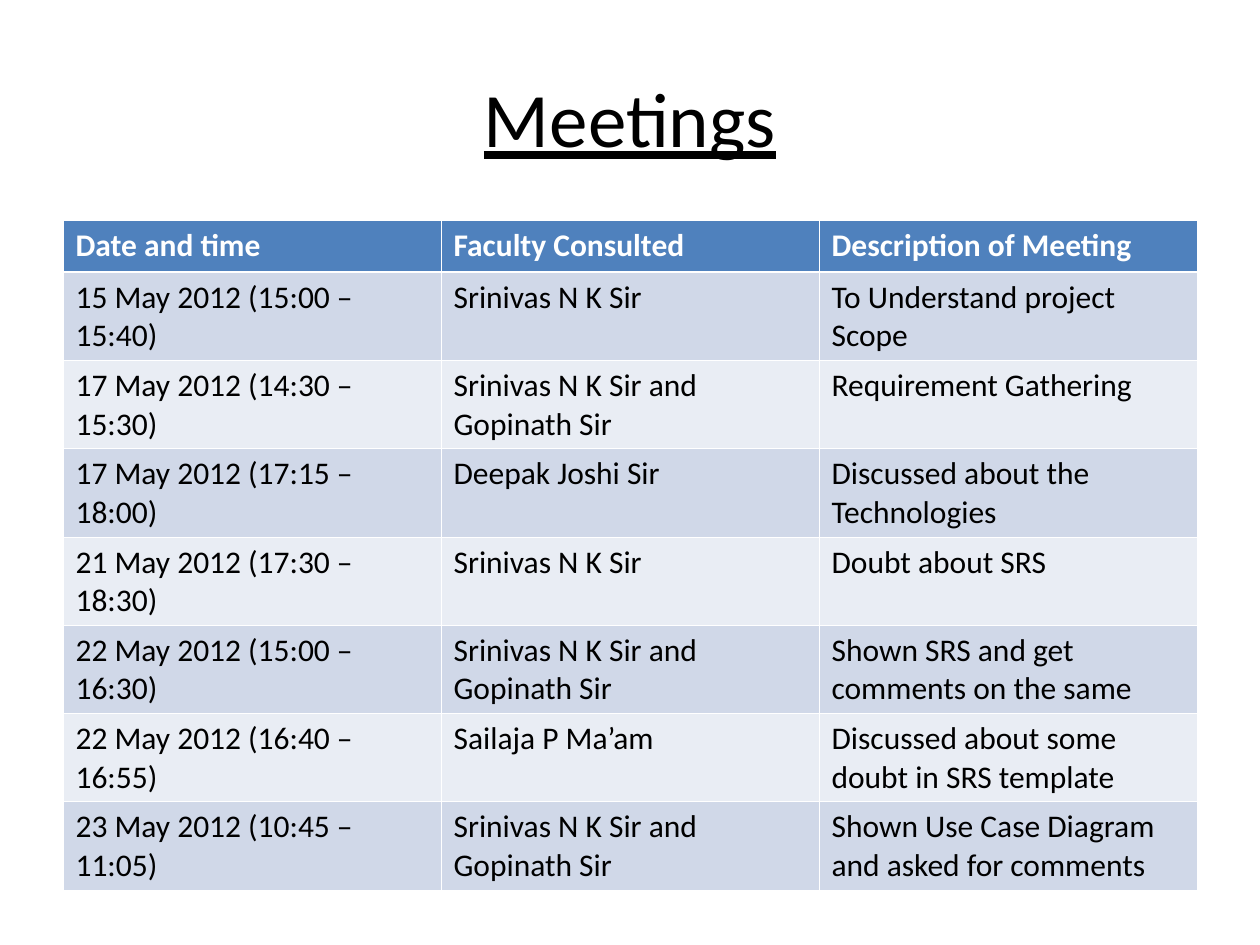
import dataclasses
import typing

import lxml.etree
import pptx
import pptx.dml.color
import pptx.enum.text
import pptx.oxml.ns
import pptx.util

WIDE = pptx.util.Inches(10)
HIGH = pptx.util.Inches(7.5)
EDGE = 0.05
FONT = "Calibri"
WHITE = "FFFFFF"
BLACK = "000000"
BLUE = "4F81BD"
BANDS = ("D0D8E8", "E9EDF4")
THIN, THICK = 0.45, 1.47
HEAD_TALL, ROW_TALL = 0.41, 0.7


@dataclasses.dataclass(frozen=True)
class Meeting:
    time: str
    host: str
    topic: str


@dataclasses.dataclass(frozen=True)
class Look:
    size: float
    color: str
    bold: bool = False
    line: bool = False


HEAD = Meeting("Date and time", "Faculty Consulted", "Description of Meeting")
PAIR = "Srinivas N K Sir and Gopinath Sir"
LEAD = "Srinivas N K Sir"
MEETINGS = [
    Meeting("15 May 2012 (15:00 – 15:40)", LEAD, "To Understand project Scope"),
    Meeting("17 May 2012 (14:30 – 15:30)", PAIR, "Requirement Gathering"),
    Meeting("17 May 2012 (17:15 – 18:00)", "Deepak Joshi Sir", "Discussed about the Technologies"),
    Meeting("21 May 2012 (17:30 – 18:30)", LEAD, "Doubt about SRS"),
    Meeting("22 May 2012 (15:00 – 16:30)", PAIR, "Shown SRS and get comments on the same"),
    Meeting("22 May 2012 (16:40 – 16:55)", "Sailaja P Ma’am", "Discussed about some doubt in SRS template"),
    Meeting("23 May 2012 (10:45 – 11:05)", PAIR, "Shown Use Case Diagram and asked for comments"),
]


def tint(code: str) -> pptx.dml.color.RGBColor:
    return pptx.dml.color.RGBColor.from_string(code)


def place(left: float, top: float, wide: float, tall: float) -> typing.Tuple[int, ...]:
    return int(left * WIDE), int(top * HIGH), int(wide * WIDE), int(tall * HIGH)


def write(frame: typing.Any, text: str, look: Look) -> None:
    frame.text = text
    frame.word_wrap = True
    font = frame.paragraphs[0].runs[0].font
    font.name = FONT
    font.size = pptx.util.Pt(look.size)
    font.bold = look.bold
    font.underline = look.line
    font.color.rgb = tint(look.color)


def border(cell: typing.Any, side: str, width: float) -> None:
    name = pptx.oxml.ns.qn
    props = cell._tc.get_or_add_tcPr()
    line = lxml.etree.SubElement(props, name("a:ln" + side), w=str(pptx.util.Pt(width)))
    fill = lxml.etree.SubElement(line, name("a:solidFill"))
    lxml.etree.SubElement(fill, name("a:srgbClr"), val=WHITE)


def draw_title(slide: typing.Any, text: str) -> None:
    box = slide.shapes.add_textbox(*place(EDGE, 0.04, 1 - 2 * EDGE, 1 / 6))
    write(box.text_frame, text, Look(44, BLACK, line=True))
    box.text_frame.vertical_anchor = pptx.enum.text.MSO_ANCHOR.MIDDLE
    box.text_frame.paragraphs[0].alignment = pptx.enum.text.PP_ALIGN.CENTER


def draw_cell(cell: typing.Any, text: str, row: int) -> None:
    head = row == 0
    write(cell.text_frame, text, Look(18, WHITE if head else BLACK, bold=head))
    widths = {"L": THIN, "R": THIN, "T": THICK if row == 1 else THIN, "B": THICK if head else THIN}
    for side, width in widths.items():
        border(cell, side, width)
    cell.fill.solid()
    cell.fill.fore_color.rgb = tint(BLUE if head else BANDS[(row - 1) % 2])


def draw_table(slide: typing.Any, rows: typing.List[Meeting]) -> None:
    tall = HEAD_TALL + ROW_TALL * (len(rows) - 1)
    area = place(EDGE, 7 / 30, 1 - 2 * EDGE, tall / 7.5)
    table = slide.shapes.add_table(len(rows), 3, *area).table
    for index, meeting in enumerate(rows):
        table.rows[index].height = pptx.util.Inches(ROW_TALL if index else HEAD_TALL)
        for cell, text in zip(table.rows[index].cells, dataclasses.astuple(meeting)):
            draw_cell(cell, text, index)


def main() -> None:
    deck = pptx.Presentation()
    deck.slide_width, deck.slide_height = WIDE, HIGH
    slide = deck.slides.add_slide(deck.slide_layouts[6])
    draw_title(slide, "Meetings")
    draw_table(slide, [HEAD] + MEETINGS)
    deck.save("out.pptx")


if __name__ == "__main__":
    main()
